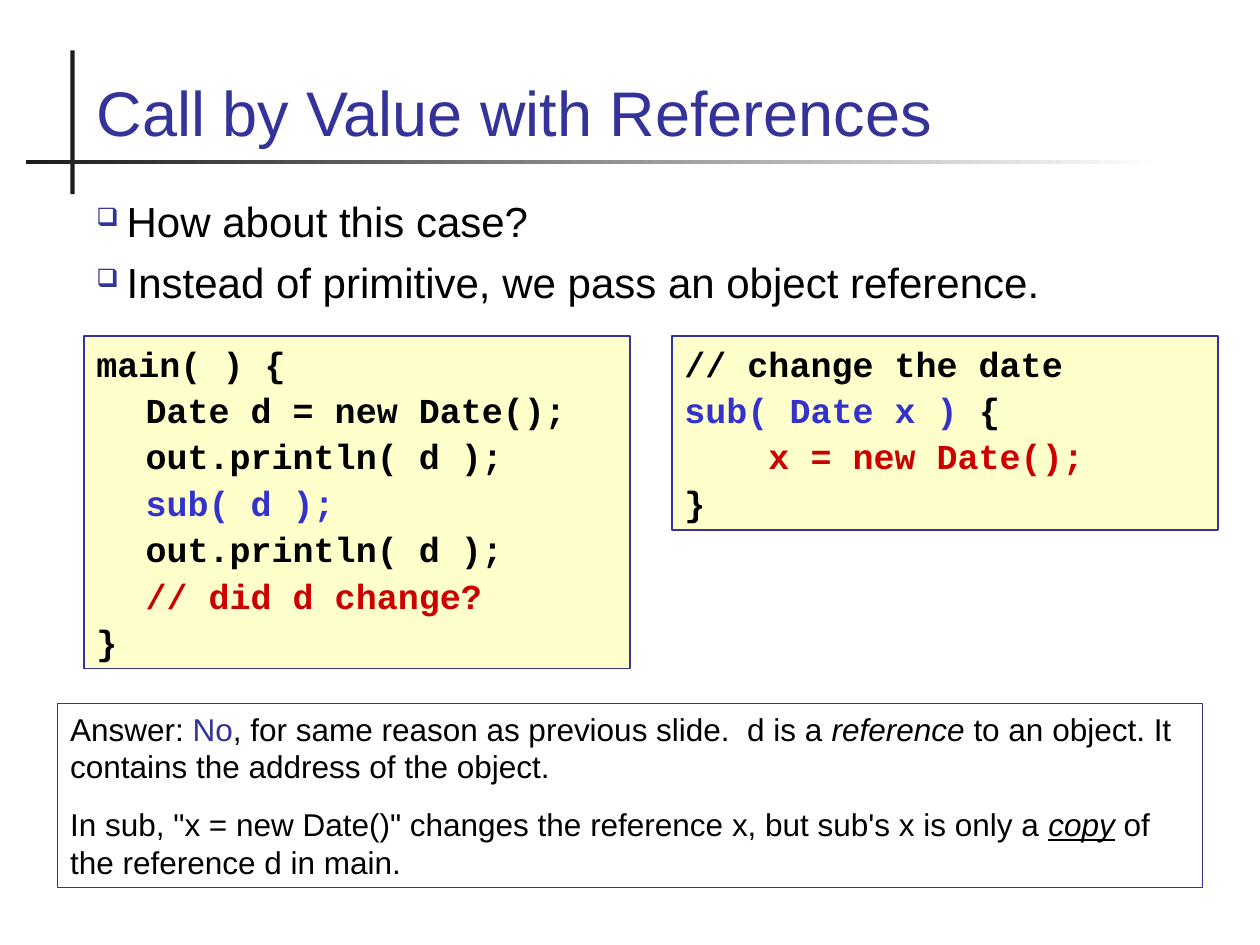
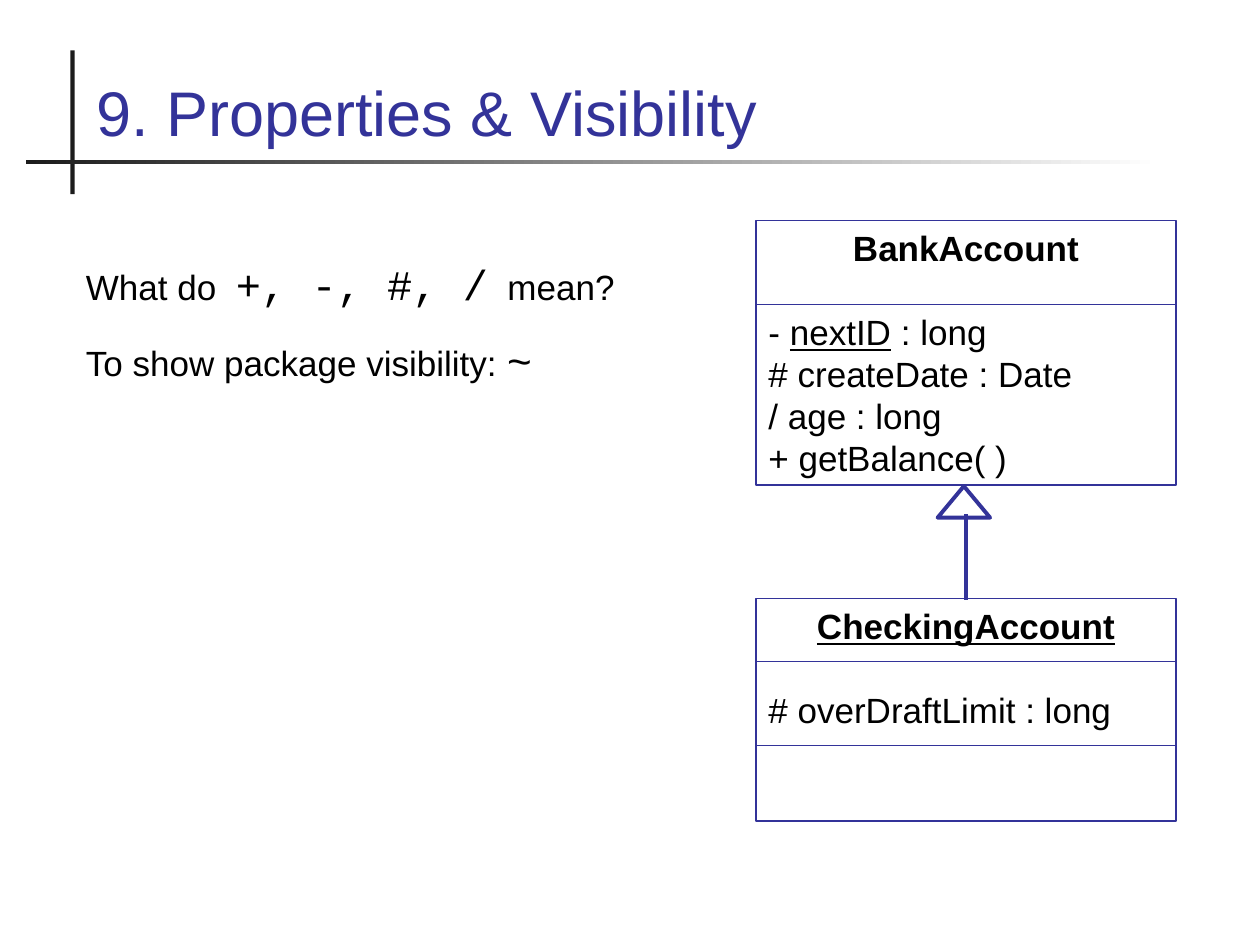
from lxml import etree
from pptx import Presentation
from pptx.dml.color import RGBColor
from pptx.enum.shapes import MSO_CONNECTOR, MSO_SHAPE
from pptx.enum.text import MSO_ANCHOR, MSO_AUTO_SIZE, PP_ALIGN
from pptx.oxml.ns import qn
from pptx.util import Inches, Pt

RECTANGLE, TRIANGLE = MSO_SHAPE.RECTANGLE, MSO_SHAPE.ISOSCELES_TRIANGLE
STRAIGHT = MSO_CONNECTOR.STRAIGHT
LEFT, CENTER = PP_ALIGN.LEFT, PP_ALIGN.CENTER
TOP, BOTTOM = MSO_ANCHOR.TOP, MSO_ANCHOR.BOTTOM
FIXED = MSO_AUTO_SIZE.NONE

COLUMNS, ROWS = 120, 90
NAVY, BLUE, RED = "333399", "3333CC", "CC0000"
BLACK, CHARCOAL, WHITE, CREAM = "000000", "1C1C1C", "FFFFFF", "FFFFCC"
SANS, MONO = "Arial", "Courier New"
SYMBOL = {"size": 24, "name": MONO}


def color(hex_code):
    return RGBColor.from_string(hex_code)


def add_child(parent, tag, **attributes):
    return etree.SubElement(parent, qn(tag), **attributes)


def set_font(font, size=None, name=None, ink=None, bold=None, italic=None,
             underline=None):
    if size:
        font.size = Pt(size)
    if name:
        font.name = name
    if ink:
        font.color.rgb = color(ink)
    if bold is not None:
        font.bold = bold
    if italic is not None:
        font.italic = italic
    if underline is not None:
        font.underline = underline


class Deck:
    def __init__(self):
        self.deck = Presentation()
        self.deck.slide_width, self.deck.slide_height = Inches(10), Inches(7.5)
        self.page = None

    def place(self, column, row):
        return (int(self.deck.slide_width * column / COLUMNS),
                int(self.deck.slide_height * row / ROWS))

    def start(self, title):
        self.page = self.deck.slides.add_slide(self.deck.slide_layouts[5])
        self.shape(6.7, 4.8, 0.4, 13.7, fill=CHARCOAL, line=None)
        rule = self.shape(2.5, 15.2, 108, 0.4, line=None)
        rule.fill.gradient()
        rule.fill.gradient_angle = 0
        for stop, shade in zip(rule.fill.gradient_stops, (CHARCOAL, WHITE)):
            stop.color.rgb = color(shade)
        heading = self.page.shapes.title
        heading.left, heading.top = self.place(8, 3.4)
        heading.width, heading.height = self.place(104, 11.4)
        frame = heading.text_frame
        frame.text = title
        frame.auto_size, frame.vertical_anchor = FIXED, BOTTOM
        frame.paragraphs[0].alignment = LEFT
        set_font(frame.paragraphs[0].font, 36, SANS, NAVY)

    def shape(self, column, row, width, height, kind=RECTANGLE,
              fill=None, line=NAVY, weight=0.75):
        shape = self.page.shapes.add_shape(
            kind, *self.place(column, row), *self.place(width, height))
        shape.shadow.inherit = False
        if fill:
            shape.fill.solid()
            shape.fill.fore_color.rgb = color(fill)
        else:
            shape.fill.background()
        if line:
            shape.line.color.rgb = color(line)
            shape.line.width = Pt(weight)
        else:
            shape.line.fill.background()
        return shape

    def text(self, column, row, width, height):
        return self.page.shapes.add_textbox(
            *self.place(column, row), *self.place(width, height))

    def line(self, start, end, weight=0.75):
        line = self.page.shapes.add_connector(
            STRAIGHT, *self.place(*start), *self.place(*end))
        line.line.color.rgb = color(NAVY)
        line.line.width = Pt(weight)
        add_child(line._element.spPr, "a:effectLst")

    def fill_text(self, box, paragraphs, size, name=SANS, gap=0, leading=None,
                  bold=False, bullet=None, tab=None):
        frame = box.text_frame
        frame.word_wrap, frame.vertical_anchor = True, TOP
        for index, spans in enumerate(paragraphs):
            para = frame.paragraphs[0] if index == 0 else frame.add_paragraph()
            para.alignment = LEFT
            para.line_spacing = Pt(leading or size * 1.2)
            para.space_before = Pt(gap if index else 0)
            properties = para._p.get_or_add_pPr()
            if bullet:
                hang = Inches(0.24)
                properties.set("marL", str(hang))
                properties.set("indent", str(-hang))
                tint = add_child(properties, "a:buClr")
                add_child(tint, "a:srgbClr", val=NAVY)
                add_child(properties, "a:buSzPct", val="60000")
                add_child(properties, "a:buChar", char=bullet)
            if tab:
                stops = add_child(properties, "a:tabLst")
                add_child(stops, "a:tab", pos=str(Inches(tab)), algn="l")
            set_font(para.font, size, name, BLACK, bold=bold)
            for content in [spans] if isinstance(spans, str) else spans:
                words, style = (content, {}) if isinstance(content, str) else content
                span = para.add_run()
                span.text = words
                set_font(span.font, **style)
        return frame.paragraphs

    def code(self, column, row, width, height, lines):
        box = self.shape(column, row, width, height, fill=CREAM)
        self.fill_text(box, lines, 20, MONO, gap=2.5, bold=True, tab=0.39)

    def class_box(self, row, height, name, members, dividers, underline=False):
        left, width = 72, 40
        box = self.shape(left, row, width, height)
        paras = self.fill_text(box, [name, *members], 20)
        paras[0].alignment = CENTER
        set_font(paras[0].font, bold=True, underline=underline)
        paras[1].space_before = Pt(24)
        for divider in dividers:
            self.line((left, divider), (left + width, divider))


def references(deck):
    deck.start("Call by Value with References")
    points = deck.text(8, 18, 104, 14)
    deck.fill_text(points, ["How about this case?",
                            "Instead of primitive, we pass an object reference."],
                   24, gap=6, bullet="❑")
    deck.code(8, 32, 52, 31.7, [
        "main( ) {",
        "\tDate d = new Date();",
        "\tout.println( d );",
        ["\t", ("sub( d );", {"ink": BLUE})],
        "\tout.println( d );",
        ["\t", ("// did d change?", {"ink": RED})],
        "}"])
    deck.code(64, 32, 52, 18.5, [
        "// change the date",
        [("sub( Date x )", {"ink": BLUE}), " {"],
        [("    x = new Date();", {"ink": RED})],
        "}"])
    answer = deck.shape(5.5, 67, 109, 17.5)
    deck.fill_text(answer, [
        ["Answer: ", ("No", {"ink": NAVY}),
         ", for same reason as previous slide.  d is a ",
         ("reference", {"italic": True}),
         " to an object. It contains the address of the object."],
        ["In sub, \"x = new Date()\" changes the reference x, but sub's x is only a ",
         ("copy", {"italic": True, "underline": True}),
         " of the reference d in main."]], 18, gap=11.2)


def visibility(deck):
    deck.start("9. Properties & Visibility")
    deck.class_box(21, 25.2, "BankAccount", [
        ["- ", ("nextID", {"underline": True}), " : long"],
        "# createDate : Date",
        "/ age : long",
        "+ getBalance( )"], [29])
    deck.class_box(57, 21.2, "CheckingAccount", ["# overDraftLimit : long"],
                   [63, 71], underline=True)
    deck.line((92, 57.1), (92, 49), weight=2.25)
    deck.shape(89.3, 46.3, 5, 3, kind=TRIANGLE, weight=2.25)
    question = deck.text(7, 24, 53, 13.3)
    deck.fill_text(question, [
        ["What do  ", ("+, -, #, /", SYMBOL), "  mean?"],
        ["To show package visibility: ", ("~", SYMBOL)]],
        20, gap=15, leading=28.8)


def main():
    deck = Deck()
    references(deck)
    visibility(deck)
    deck.deck.save("out.pptx")


if __name__ == "__main__":
    main()
